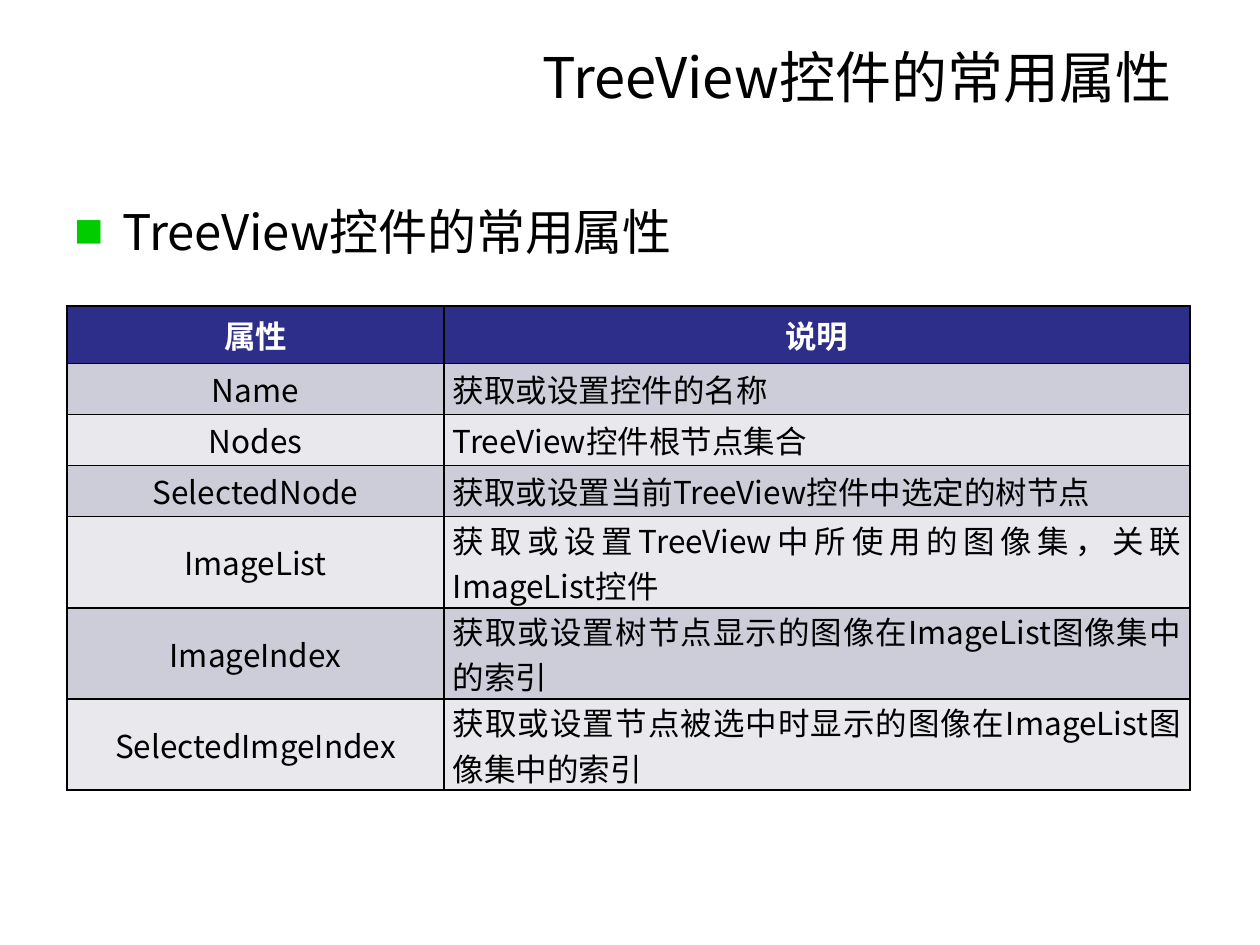
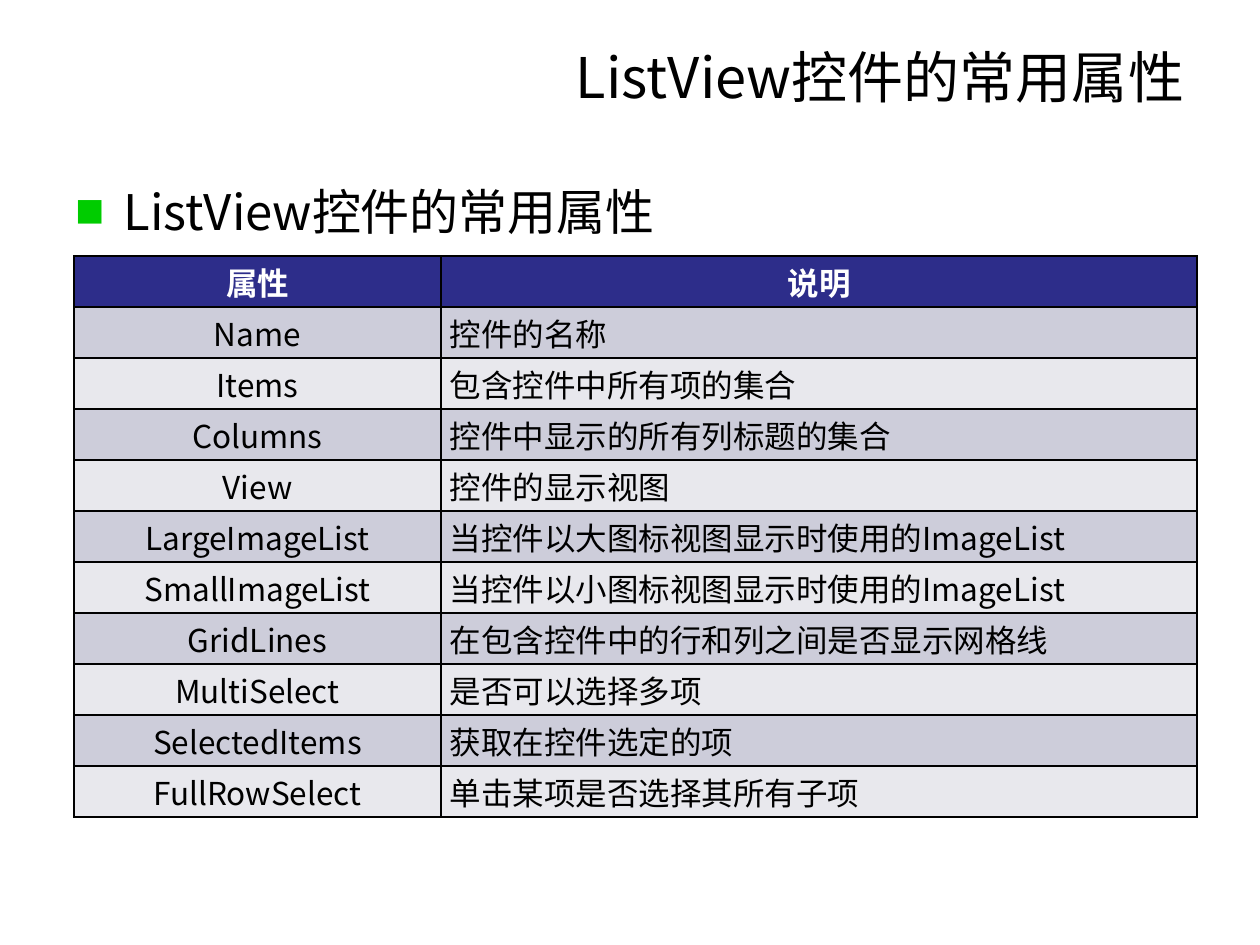
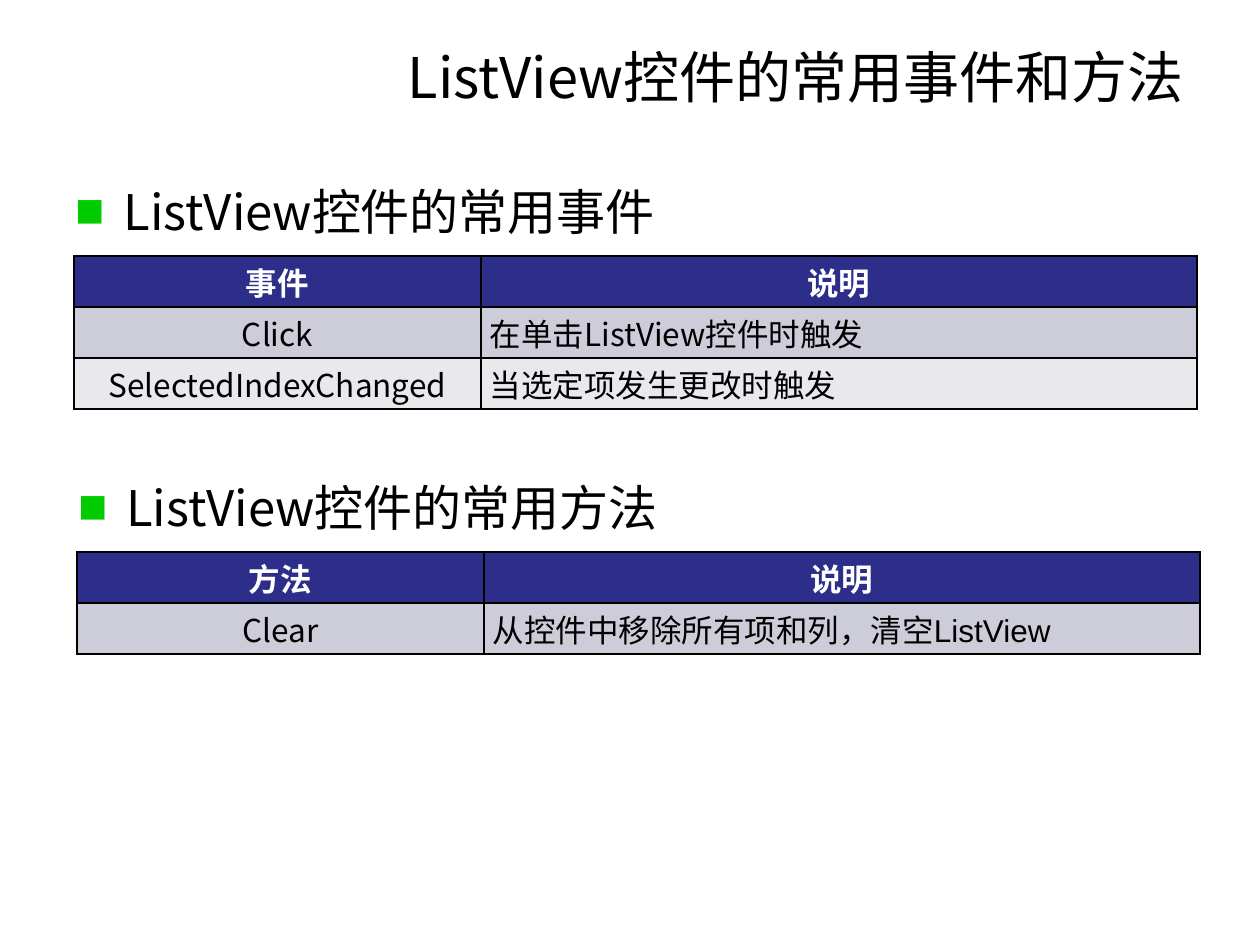
import pptx
import pptx.dml.color
import pptx.enum.text
import pptx.oxml
import pptx.oxml.ns
import pptx.util

PX = 914400 / 126
CJK, LATIN = "Noto Sans CJK SC", "Arial"
BLACK, WHITE, GREEN = "000000", "FFFFFF", "00CC00"
HEADER_FILL, ROW_FILLS = "2D2D8A", ("CDCDDA", "E8E8ED")
TITLE_BOX = (323, 38, 874, 77)
TABLE_W, ROW_H, TALL_ROW_H = 1123, 51, 76
CELL_PAD, HEADER_PAD = (9, 0), (13, 6)
ALIGN, ANCHOR = pptx.enum.text.PP_ALIGN, pptx.enum.text.MSO_ANCHOR

# Text is a tuple of runs: the first is set in CJK, the others in LATIN.
SLIDES = [
    {"title": ("TreeView", "控件的常用属性 "),
     "sections": [
         {"heading": ("TreeView控件的常用属性",), "box": (62, 195, 1134, 69),
          "at": (67, 306), "name_w": 377, "justify_from": 3, "tall_from": 4,
          "header_font": LATIN, "header_pad": HEADER_PAD, "header_anchor": ANCHOR.TOP,
          "rows": [
              ("属性", "说明"),
              ("Name", "获取或设置控件的名称"),
              ("Nodes", "TreeView控件根节点集合"),
              ("SelectedNode", "获取或设置当前TreeView控件中选定的树节点"),
              ("ImageList", "获取或设置TreeView中所使用的图像集，关联ImageList控件"),
              ("ImageIndex", "获取或设置树节点显示的图像在ImageList图像集中的索引"),
              ("SelectedImgeIndex", "获取或设置节点被选中时显示的图像在ImageList图像集中的索引"),
          ]}]},
    {"title": ("ListView", "控件的常用属性"),
     "sections": [
         {"heading": ("ListView", "控件的常用属性"), "box": (63, 175, 1134, 79),
          "at": (74, 256), "name_w": 367, "justify_from": 1,
          "rows": [
              ("属性", "说明"),
              ("Name", "控件的名称"),
              ("Items", "包含控件中所有项的集合"),
              ("Columns", "控件中显示的所有列标题的集合"),
              ("View", "控件的显示视图"),
              ("LargeImageList", "当控件以大图标视图显示时使用的ImageList"),
              ("SmallImageList", "当控件以小图标视图显示时使用的ImageList"),
              ("GridLines", "在包含控件中的行和列之间是否显示网格线"),
              ("MultiSelect", "是否可以选择多项"),
              ("SelectedItems", "获取在控件选定的项"),
              ("FullRowSelect", "单击某项是否选择其所有子项"),
          ]}]},
    {"title": ("ListView", "控件的常用事件和方法"),
     "sections": [
         {"heading": ("ListView", "控件的常用事件"), "box": (63, 175, 1134, 79),
          "at": (74, 256), "name_w": 407,
          "rows": [
              ("事件", "说明"),
              ("Click", "在单击ListView控件时触发"),
              ("SelectedIndexChanged", "当选定项发生更改时触发"),
          ]},
         {"heading": ("ListView", "控件的常用方法"), "box": (66, 471, 1134, 79),
          "at": (77, 552), "name_w": 407, "note_font": LATIN,
          "rows": [
              ("方法", "说明"),
              ("Clear", "从控件中移除所有项和列，清空ListView"),
          ]}]},
]


def px(n):
    return pptx.util.Emu(round(n * PX))


def rgb(color):
    return pptx.dml.color.RGBColor.from_string(color)


def put(obj, **values):
    for name, value in values.items():
        setattr(obj, name, value)


def add_xml(parent, xml):
    ns = pptx.oxml.ns.nsdecls("a")
    tag, rest = xml[1:].split(" ", 1)
    parent.append(pptx.oxml.parse_xml(f"<{tag} {ns} {rest}"))


def add_run(p, text, size, font, color=BLACK, bold=False):
    r = p.add_run()
    r.text = text
    put(r.font, size=pptx.util.Pt(size), name=font, bold=bold)
    r.font.color.rgb = rgb(color)
    latin = r.font._element.find(pptx.oxml.ns.qn("a:latin"))
    latin.addnext(pptx.oxml.parse_xml(
        f'<a:ea {pptx.oxml.ns.nsdecls("a")} typeface="{CJK}"/>'))


def fill_text(shape, box, runs, size, align, anchor):
    put(shape, **dict(zip(("left", "top", "width", "height"), map(px, box))))
    tf = shape.text_frame
    put(tf, word_wrap=True, vertical_anchor=anchor,
        auto_size=pptx.enum.text.MSO_AUTO_SIZE.NONE)
    p = tf.paragraphs[0]
    p.alignment = align
    for i, text in enumerate(runs):
        add_run(p, text, size, LATIN if i else CJK)
    return p


def add_heading(shape, section):
    p = fill_text(shape, section["box"], section["heading"], 28, ALIGN.LEFT, ANCHOR.TOP)
    ppr = p._p.get_or_add_pPr()
    ppr.set("marL", str(px(48)))
    ppr.set("indent", str(-px(48)))
    for xml in ('<a:spcBef ><a:spcPct val="20000"/></a:spcBef>',
                f'<a:buClr ><a:srgbClr val="{GREEN}"/></a:buClr>',
                '<a:buSzPct val="60000"/>',
                f'<a:buFont typeface="{CJK}"/>',
                '<a:buChar char="■"/>'):
        add_xml(ppr, xml)


def format_cell(cell, text, fill, align, pad, anchor, **font):
    x, y = map(px, pad)
    put(cell, margin_left=x, margin_right=x, margin_top=y, margin_bottom=y,
        vertical_anchor=anchor)
    tcpr = cell._tc.get_or_add_tcPr()
    for side in "LRTB":
        add_xml(tcpr, f'<a:ln{side} w="12700"><a:solidFill><a:srgbClr val="{BLACK}"/>'
                      f'</a:solidFill></a:ln{side}>')
    cell.fill.solid()
    cell.fill.fore_color.rgb = rgb(fill)
    p = cell.text_frame.paragraphs[0]
    p.alignment = align
    add_run(p, text, 18, **font)


def add_table(s, section):
    rows = section["rows"]
    count = len(rows)
    tall_from = section.get("tall_from", count)
    heights = [ROW_H if i < tall_from else TALL_ROW_H for i in range(count)]
    box = (*section["at"], TABLE_W, sum(heights))
    table = s.shapes.add_table(count, 2, *map(px, box)).table
    for column, width in zip(table.columns, (section["name_w"], TABLE_W - section["name_w"])):
        column.width = px(width)
    for i, (row, texts) in enumerate(zip(table.rows, rows)):
        row.height = px(heights[i])
        justified = i >= section.get("justify_from", count)
        for j, text in enumerate(texts):
            if i == 0:
                look = {"fill": HEADER_FILL, "align": ALIGN.CENTER,
                        "pad": section.get("header_pad", CELL_PAD),
                        "anchor": section.get("header_anchor", ANCHOR.MIDDLE),
                        "font": section.get("header_font", CJK),
                        "color": WHITE, "bold": True}
            else:
                note_align = ALIGN.JUSTIFY if justified else ALIGN.LEFT
                look = {"fill": ROW_FILLS[(i - 1) % 2], "pad": CELL_PAD,
                        "align": note_align if j else ALIGN.CENTER,
                        "anchor": ANCHOR.MIDDLE,
                        "font": section.get("note_font", CJK) if j else CJK}
            format_cell(table.cell(i, j), text, **look)


def main():
    prs = pptx.Presentation()
    put(prs, slide_width=px(1260), slide_height=px(945))
    for content in SLIDES:
        s = prs.slides.add_slide(prs.slide_layouts[1])
        fill_text(s.shapes.title, TITLE_BOX, content["title"], 32, ALIGN.RIGHT, ANCHOR.MIDDLE)
        for i, section in enumerate(content["sections"]):
            sp = s.shapes.add_textbox(0, 0, 0, 0) if i else s.placeholders[1]
            add_heading(sp, section)
            add_table(s, section)
    prs.save("out.pptx")


if __name__ == "__main__":
    main()
